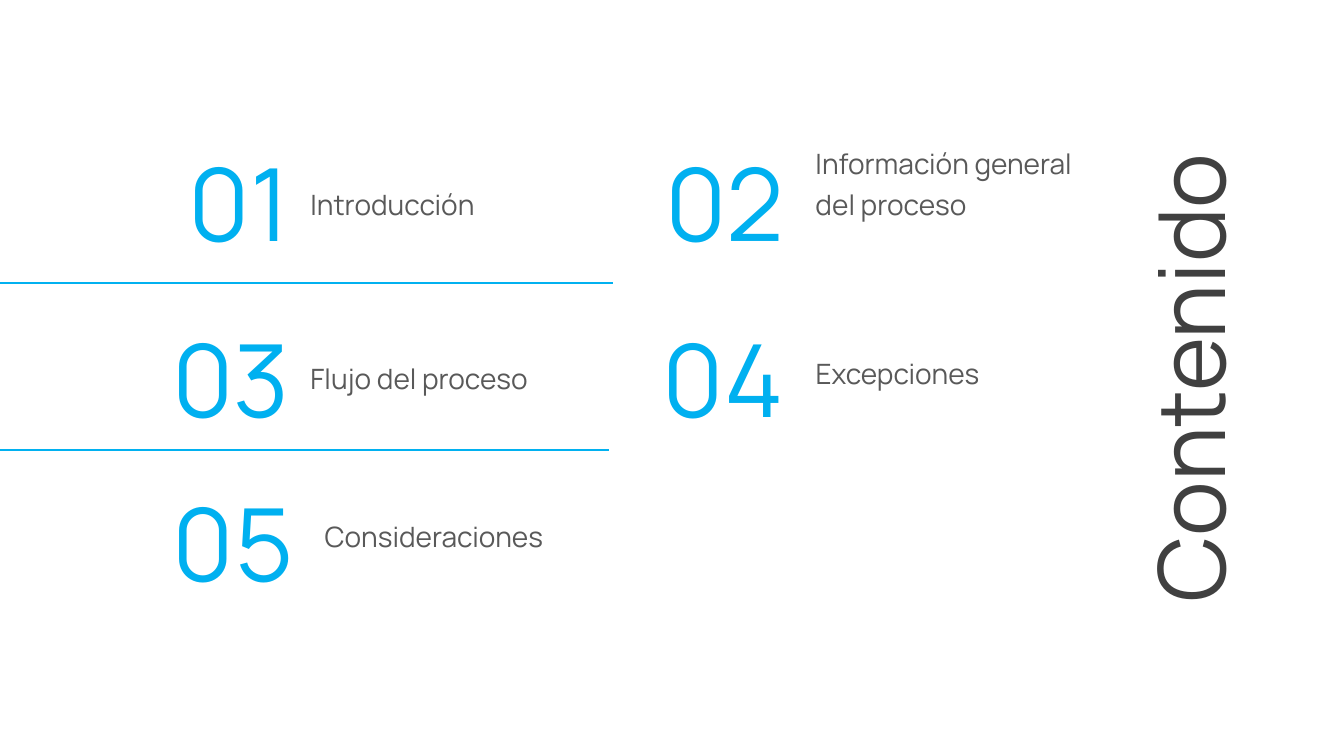
from typing import NamedTuple

from lxml.etree import SubElement
from pptx import Presentation
from pptx.dml.color import RGBColor
from pptx.enum.shapes import MSO_CONNECTOR
from pptx.enum.text import MSO_ANCHOR, MSO_AUTO_SIZE, PP_ALIGN
from pptx.oxml.ns import qn
from pptx.util import Inches, Pt

COLORS = {"number": "00B0F0", "rule": "01B1F0", "label": "595959", "title": "404040"}
FONT = "Manrope"
NUMBER_SIZE = (2.56, 1.23)
NUMBER_INSET = 0.13


class Box(NamedTuple):
    left: float
    top: float
    width: float
    height: float


class Topic(NamedTuple):
    number: str
    left: float
    top: float
    label: str
    box: Box
    anchor: MSO_ANCHOR = MSO_ANCHOR.TOP
    spacing: int = 0


class Rule(NamedTuple):
    y: float
    end: float


TOPICS = [
    Topic("01", 0.44, 1.38, "Introducción", Box(2.98, 1.74, 3, 0.5), MSO_ANCHOR.MIDDLE),
    Topic("02", 5.35, 1.38, "Información general del proceso", Box(7.99, 1.34, 3.07, 1.31)),
    Topic("03", 0.44, 3.13, "Flujo del proceso", Box(2.98, 3.47, 2.62, 0.91)),
    Topic("04", 5.35, 3.13, "Excepciones", Box(7.99, 3.42, 2.62, 0.5), spacing=1),
    Topic("05", 0.48, 4.75, "Consideraciones", Box(3.12, 5.04, 2.62, 0.48), spacing=1),
]
RULES = [Rule(2.81, 6.08), Rule(4.46, 6.04)]


def place(shape, box: Box) -> None:
    shape.left, shape.top, shape.width, shape.height = map(Inches, box)


def write(shape, text: str, size: float, color: str, align: PP_ALIGN,
          anchor: MSO_ANCHOR, leading: float = 1.0):
    """Fill the shape with one styled paragraph and return its text frame."""
    frame = shape.text_frame
    frame.text = text
    frame.word_wrap = True
    frame.auto_size = MSO_AUTO_SIZE.NONE
    frame.vertical_anchor = anchor
    line = frame.paragraphs[0]
    line.alignment = align
    line.line_spacing = leading
    line.font.name = FONT
    line.font.size = Pt(size)
    line.font.color.rgb = RGBColor.from_string(COLORS[color])
    return frame


def add_topic(slide, topic: Topic) -> None:
    number = slide.shapes.add_textbox(0, 0, 0, 0)
    place(number, Box(topic.left, topic.top, *NUMBER_SIZE))
    frame = write(number, topic.number, 72, "number", PP_ALIGN.RIGHT, MSO_ANCHOR.MIDDLE)
    frame.margin_left = frame.margin_right = Inches(NUMBER_INSET)
    frame.margin_top = frame.margin_bottom = Inches(NUMBER_INSET)
    if topic.spacing:
        run = frame.paragraphs[0].runs[0]
        run._r.get_or_add_rPr().set("spc", str(topic.spacing * 100))

    label = slide.shapes.add_textbox(0, 0, 0, 0)
    place(label, topic.box)
    frame = write(label, topic.label, 20, "label", PP_ALIGN.LEFT, topic.anchor, 1.2)
    frame.auto_size = MSO_AUTO_SIZE.SHAPE_TO_FIT_TEXT


def add_rule(slide, rule: Rule) -> None:
    y = Inches(rule.y)
    line = slide.shapes.add_connector(MSO_CONNECTOR.STRAIGHT, 0, y, Inches(rule.end), y)
    line.line.color.rgb = RGBColor.from_string(COLORS["rule"])
    line.line.width = Pt(1.5)
    SubElement(line._element.spPr, qn("a:effectLst"))


def main() -> None:
    deck = Presentation()
    deck.slide_width, deck.slide_height = Inches(13.33), Inches(7.5)
    slide = deck.slides.add_slide(deck.slide_layouts[5])

    title = slide.shapes.title
    place(title, Box(7.98, 3.33, 7.5, 0.84))
    title.rotation = 270
    write(title, "Contenido", 66, "title", PP_ALIGN.CENTER, MSO_ANCHOR.TOP, 0.9)

    for topic in TOPICS:
        add_topic(slide, topic)
    for rule in RULES:
        add_rule(slide, rule)
    deck.save("out.pptx")


if __name__ == "__main__":
    main()
